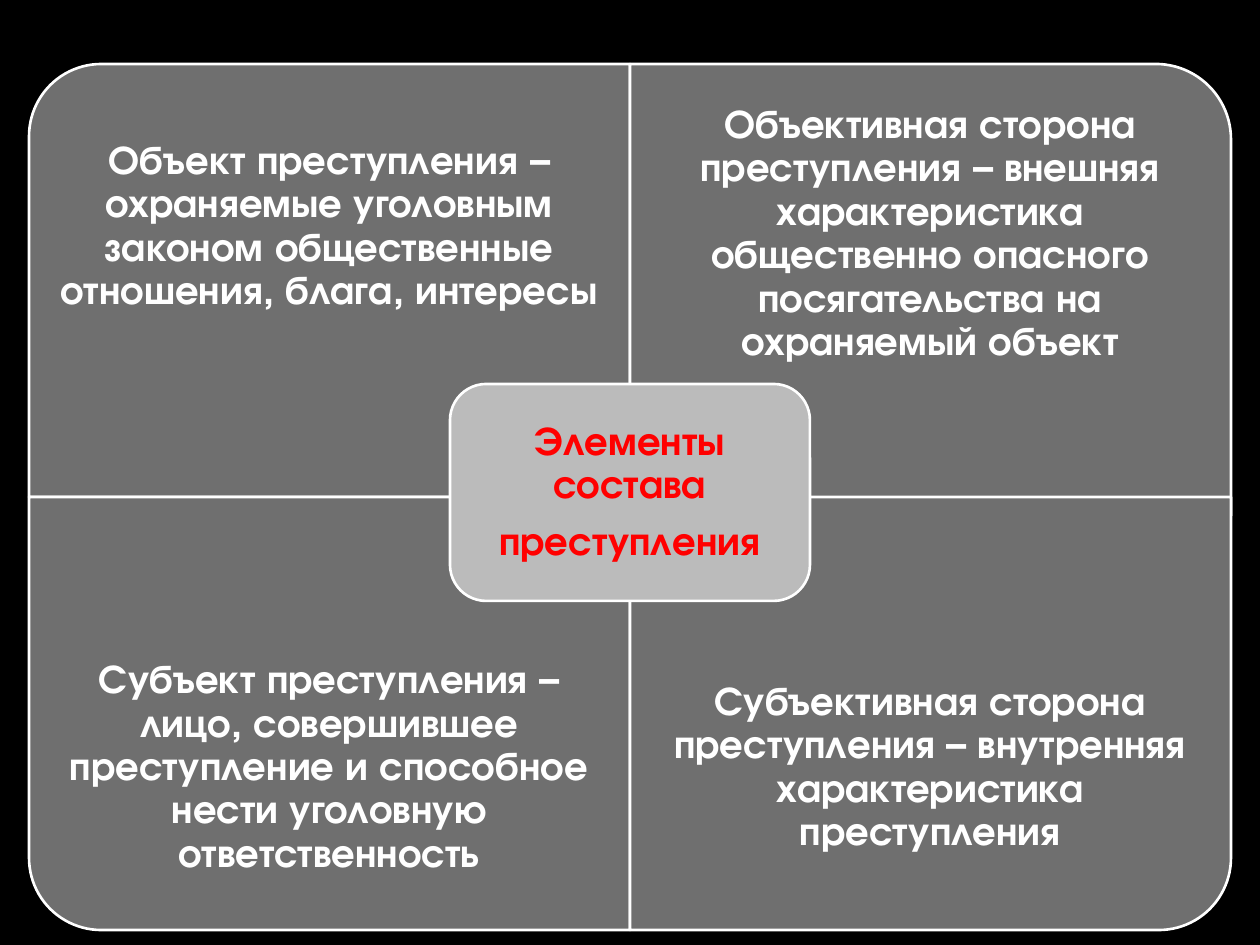
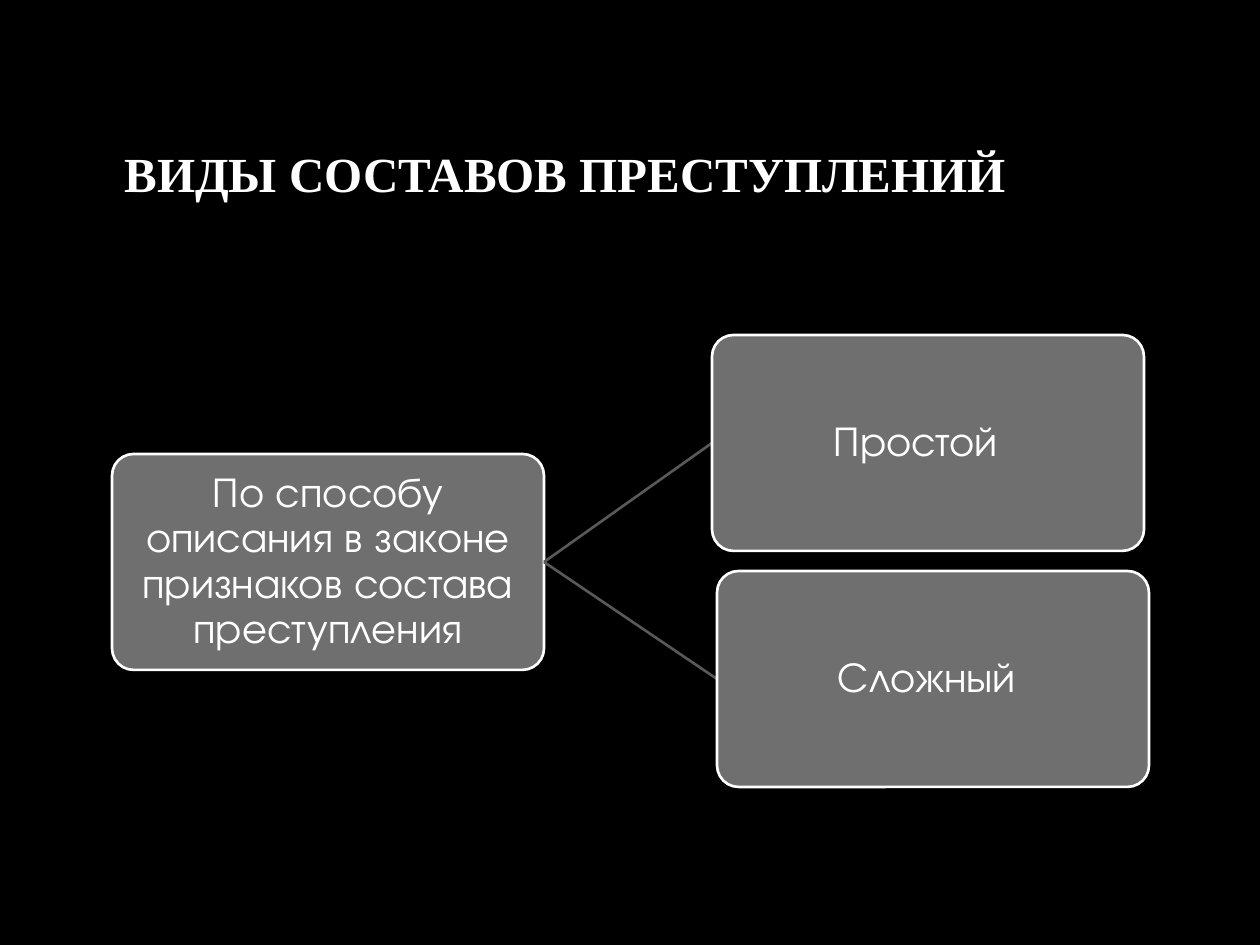
"""Two slides on the elements and kinds of a crime's legal composition."""
from lxml import etree
from pptx import Presentation
from pptx.dml.color import RGBColor
from pptx.enum.shapes import MSO_CONNECTOR, MSO_SHAPE
from pptx.enum.text import MSO_ANCHOR, MSO_AUTO_SIZE, PP_ALIGN
from pptx.oxml.ns import qn
from pptx.util import Pt

LINE = MSO_CONNECTOR.STRAIGHT
ROUND = MSO_SHAPE.ROUNDED_RECTANGLE
CORNER = MSO_SHAPE.ROUND_1_RECTANGLE
MIDDLE = MSO_ANCHOR.MIDDLE
NOFIT = MSO_AUTO_SIZE.NONE
LEFT, CENTER = PP_ALIGN.LEFT, PP_ALIGN.CENTER

SCALE = 914400 / 126
FONT = "TeX Gyre Adventor"
HEAD = "Times New Roman"
HEX = {"back": "000000", "panel": "6F6F6F", "hub": "BBBBBB",
       "white": "FFFFFF", "red": "FF0000", "link": "595959"}
RGB = {name: RGBColor.from_string(code) for name, code in HEX.items()}


def panel(slide, kind, spot, fill):
    shape = slide.shapes.add_shape(kind, *[round(v * SCALE) for v in spot])
    shape.shadow.inherit = False
    shape.fill.solid()
    shape.fill.fore_color.rgb = RGB[fill]
    shape.line.color.rgb = RGB["white"]
    shape.line.width = Pt(1.5)
    return shape


def write(shape, text, size, color, bold, inset, extra=0):
    frame = shape.text_frame
    frame.word_wrap = True
    frame.auto_size = NOFIT
    frame.vertical_anchor = MIDDLE
    frame.margin_left = frame.margin_top = frame.margin_bottom = round(inset * SCALE)
    frame.margin_right = round((inset + extra) * SCALE)
    frame.text = text
    for para in frame.paragraphs:
        para.alignment = CENTER
        para.line_spacing = 0.9
        para.space_after = Pt(round(size * 0.35))
        para.font.name = FONT
        para.font.size = Pt(size)
        para.font.bold = bold
        para.font.color.rgb = RGB[color]


deck = Presentation()
deck.slide_width = round(1260 * SCALE)
deck.slide_height = round(945 * SCALE)
back = deck.slide_master.background.fill
back.solid()
back.fore_color.rgb = RGB["back"]

slide = deck.slides.add_slide(deck.slide_layouts[6])
left, top, wide, high = 29, 64, 601, 433
parts = [
    (0, 0, 270, 433, 64, 325, "Объект преступления – охраняемые уголовным законом "
     "общественные отношения, блага, интересы"),
    (1, 0, 0, 452, 64, 340, "Объективная сторона преступления – внешняя характеристика "
     "общественно опасного посягательства на охраняемый объект"),
    (0, 1, 180, 433, 605, 325, "Субъект преступления – лицо, совершившее преступление "
     "и способное нести уголовную ответственность"),
    (1, 1, 90, 433, 605, 325, "Субъективная сторона преступления – внутренняя "
     "характеристика преступления"),
]
for col, row, turn, tall, start, depth, text in parts:
    x, y = left + col * wide, top + row * high
    w, h = (tall, wide) if turn % 180 else (wide, tall)
    spot = (x + (wide - w) / 2, y + (tall - h) / 2, w, h)
    panel(slide, CORNER, spot, "panel").rotation = turn
    note = slide.shapes.add_textbox(*[round(v * SCALE) for v in (x, start, wide, depth)])
    write(note, text, 23, "white", True, 23)
hub = panel(slide, ROUND, (450, 384, 360, 217), "hub")
write(hub, "Элементы состава\nпреступления", 23, "red", True, 13)

slide = deck.slides.add_slide(deck.slide_layouts[5])
title = slide.shapes.title
title.left, title.top, title.width, title.height = [
    round(v * SCALE) for v in (112, 82, 1034, 181)]
title.text_frame.text = "ВИДЫ СОСТАВОВ ПРЕСТУПЛЕНИЙ"
title.text_frame.auto_size = NOFIT
title.text_frame.vertical_anchor = MIDDLE
para = title.text_frame.paragraphs[0]
para.alignment = LEFT
para.font.name = HEAD
para.font.size = Pt(28)
para.font.bold = True
para.font.color.rgb = RGB["white"]

wide, high = 432, 216
root = (112, 454)
cards = [(*root, "По способу описания в законе признаков состава преступления", 0),
         (712, 335, "Простой", 24), (717, 571, "Сложный", 12)]
for x, y, text, extra in cards:
    if (x, y) != root:
        ends = (root[0] + wide, root[1] + high / 2, x, y + high / 2)
        link = slide.shapes.add_connector(LINE, *[round(v * SCALE) for v in ends])
        link.line.color.rgb = RGB["link"]
        link.line.width = Pt(1.5)
        etree.SubElement(link._element.spPr, qn("a:effectLst"))
    card = panel(slide, ROUND, (x, y, wide, high), "panel")
    card.adjustments[0] = 0.1
    write(card, text, 24, "white", False, 3, extra)

deck.save("out.pptx")
